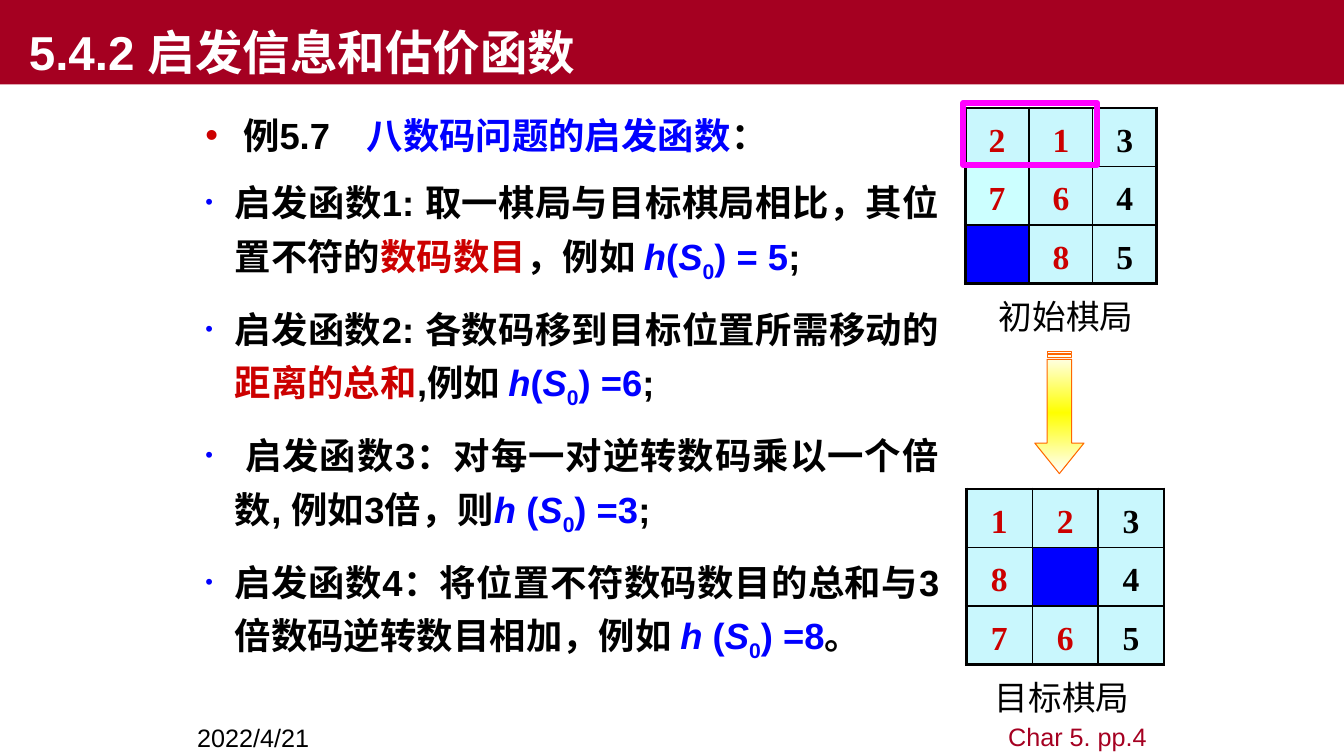
from dataclasses import dataclass
from itertools import product

from pptx import Presentation
from pptx.dml.color import RGBColor
from pptx.enum.shapes import MSO_SHAPE
from pptx.enum.text import MSO_ANCHOR, PP_ALIGN
from pptx.oxml import parse_xml
from pptx.oxml.ns import nsdecls
from pptx.util import Cm, Pt

HUES = {
    "black": "000000", "white": "FFFFFF", "wine": "A50021", "red": "CC0000",
    "blue": "0000FF", "ice": "C9F7FD", "pale": "CCFFFF", "pink": "FF00FF",
    "yellow": "FFFF00", "orange": "FF6600",
}


@dataclass
class Run:
    text: str
    hue: str = "black"
    slant: bool = False
    base: int = 0


@dataclass
class Item:
    runs: list[Run]
    dot: str = "blue"
    scale: int = 60


@dataclass
class Board:
    left: float
    top: float
    col: float
    rows: tuple[str, ...]
    pale: str = ""


@dataclass
class Label:
    text: str
    box: tuple[float, float, float, float]
    size: int
    hue: str = "black"
    align: PP_ALIGN = PP_ALIGN.LEFT
    wrap: bool = True


def score(head: str, tail: str, stop: str) -> list[Run]:
    return [Run(head, "blue", True), Run("(", "blue"), Run("S", "blue", True),
            Run("0", "blue", base=-25000), Run(tail, "blue"), Run(stop)]


ITEMS = [
    Item([Run(" 例5.7　"), Run("八数码问题的启发函数", "blue"), Run("：")], "red", 100),
    Item([Run("启发函数1: 取一棋局与目标棋局相比，其位置不符的"),
          Run("数码数目", "red"), Run("，例如 "), *score("h", ") = 5", ";")]),
    Item([Run("启发函数2: 各数码移到目标位置所需移动的"),
          Run("距离的总和", "red"), Run(",例如 "), *score("h", ") =6", ";")]),
    Item([Run(" 启发函数3：对每一对逆转数码乘以一个倍数, 例如3倍，则"),
          *score("h ", ") =3", ";")]),
    Item([Run("启发函数4：将位置不符数码数目的总和与3倍数码逆转数目相加，例如 "),
          *score("h ", ") =8", "。")]),
]
BOARDS = [
    Board(24.33, 2.72, 1.61, ("213", "764", " 85"), pale="7"),
    Board(24.36, 12.32, 1.66, ("123", "8 4", "765")),
]
LABELS = [
    Label("2022/4/21", (4.72, 18.08, 5.51, 0.97), 18),
    Label("Char 5. pp.4", (23.65, 18.06, 5.51, 0.99), 18, "wine", PP_ALIGN.RIGHT),
    Label("初始棋局", (24.92, 7.32, 3.91, 1.27), 24, align=PP_ALIGN.CENTER, wrap=False),
    Label("目标棋局", (24.82, 16.92, 3.91, 1.27), 24, align=PP_ALIGN.CENTER, wrap=False),
]


def tint(name: str) -> RGBColor:
    return RGBColor.from_string(HUES[name])


def write(para, runs: list[Run], *, size: float, font: str = "Arial",
          bold: bool = False, align: PP_ALIGN = PP_ALIGN.LEFT,
          lines: float = 1.0, before: float = 0) -> None:
    para.alignment = align
    para.line_spacing = lines
    para.space_before = Pt(before)
    for part in runs:
        run = para.add_run()
        run.text = part.text
        run.font.size = Pt(size)
        run.font.name = font
        run.font.bold = bold
        run.font.italic = part.slant
        run.font.color.rgb = tint(part.hue)
        if part.base:
            run.font._element.set("baseline", str(part.base))


def indent(para, left: float, first: float) -> None:
    props = para._p.get_or_add_pPr()
    props.set("marL", str(Cm(left)))
    props.set("indent", str(Cm(first)))


def mark(para, item: Item) -> None:
    indent(para, 0.74, -0.74)
    props = para._p.get_or_add_pPr()
    for tag in (
        f'<a:buClr {nsdecls("a")}><a:srgbClr val="{HUES[item.dot]}"/></a:buClr>',
        f'<a:buSzPct {nsdecls("a")} val="{item.scale * 1000}"/>',
        f'<a:buFont {nsdecls("a")} typeface="Arial"/>',
        f'<a:buChar {nsdecls("a")} char="•"/>',
    ):
        props.append(parse_xml(tag))


def place(slide, kind: MSO_SHAPE, box: tuple[float, ...]):
    shape = slide.shapes.add_shape(kind, *map(Cm, box))
    shape.shadow.inherit = False
    return shape


def head(slide) -> None:
    bar = place(slide, MSO_SHAPE.RECTANGLE, (0, 0, 33.88, 2.13))
    bar.fill.solid()
    bar.fill.fore_color.rgb = tint("wine")
    bar.line.fill.background()
    bar.text_frame.vertical_anchor = MSO_ANCHOR.BOTTOM
    para = bar.text_frame.paragraphs[0]
    write(para, [Run("5.4.2 启发信息和估价函数", "white")], size=34, bold=True)
    indent(para, 0, 0.48)


def body(slide) -> None:
    frame = slide.shapes.add_textbox(Cm(4.93), Cm(2.51), Cm(19), Cm(15.01)).text_frame
    frame.word_wrap = True
    for spot, item in enumerate(ITEMS):
        para = frame.add_paragraph() if spot else frame.paragraphs[0]
        write(para, item.runs, size=26, bold=True, align=PP_ALIGN.JUSTIFY,
              lines=1.2, before=10.4)
        mark(para, item)


def edge(cell, row: int, col: int) -> None:
    props = cell._tc.get_or_add_tcPr()
    outer = {"L": col == 0, "R": col == 2, "T": row == 0, "B": row == 2}
    for spot, (side, thick) in enumerate(outer.items()):
        props.insert(spot, parse_xml(
            f'<a:ln{side} {nsdecls("a")} w="{Pt(2.25 if thick else 1)}"><a:solidFill>'
            f'<a:srgbClr val="{HUES["black"]}"/></a:solidFill></a:ln{side}>'))


def grid(slide, board: Board) -> None:
    high = 1.47
    table = slide.shapes.add_table(3, 3, Cm(board.left), Cm(board.top),
                                   Cm(3 * board.col), Cm(3 * high)).table
    table.first_row = table.horz_banding = False
    for line in table.columns:
        line.width = Cm(board.col)
    for line in table.rows:
        line.height = Cm(high)
    for row, col in product(range(3), repeat=2):
        cell, digit = table.cell(row, col), board.rows[row][col]
        cell.vertical_anchor = MSO_ANCHOR.MIDDLE
        cell.fill.solid()
        fill = "blue" if digit == " " else "pale" if digit == board.pale else "ice"
        cell.fill.fore_color.rgb = tint(fill)
        edge(cell, row, col)
        if digit != " ":
            hue = "black" if digit in "345" else "red"
            write(cell.text_frame.paragraphs[0], [Run(digit, hue)], size=24,
                  font="Times New Roman", bold=True, align=PP_ALIGN.CENTER, lines=1.2)


def arrow(slide) -> None:
    shape = place(slide, MSO_SHAPE.STRIPED_RIGHT_ARROW, (25.17, 9.78, 3.07, 1.24))
    shape.rotation = 90
    shape.adjustments[1] = 0.62
    stops = "".join(
        f'<a:gs pos="{spot * 1000}"><a:srgbClr val="{HUES[hue]}"/></a:gs>'
        for spot, hue in ((0, "white"), (50, "yellow"), (100, "white")))
    shape._element.spPr.insert(2, parse_xml(
        f'<a:gradFill {nsdecls("a")} rotWithShape="1"><a:gsLst>{stops}</a:gsLst>'
        '<a:lin ang="0" scaled="0"/></a:gradFill>'))
    shape.line.color.rgb = tint("orange")
    shape.line.width = Pt(0.75)


def note(slide, label: Label) -> None:
    frame = slide.shapes.add_textbox(*map(Cm, label.box)).text_frame
    frame.word_wrap = label.wrap
    write(frame.paragraphs[0], [Run(label.text, label.hue)],
          size=label.size, align=label.align)


def ring(slide) -> None:
    shape = place(slide, MSO_SHAPE.RECTANGLE, (24.28, 2.59, 3.38, 1.57))
    shape.fill.background()
    shape.line.color.rgb = tint("pink")
    shape.line.width = Pt(4)


def main() -> None:
    deck = Presentation()
    deck.slide_width, deck.slide_height = Cm(33.88), Cm(19.05)
    slide = deck.slides.add_slide(deck.slide_layouts[6])
    head(slide)
    body(slide)
    for board in BOARDS:
        grid(slide, board)
    arrow(slide)
    for label in LABELS:
        note(slide, label)
    ring(slide)
    deck.save("out.pptx")


if __name__ == "__main__":
    main()
